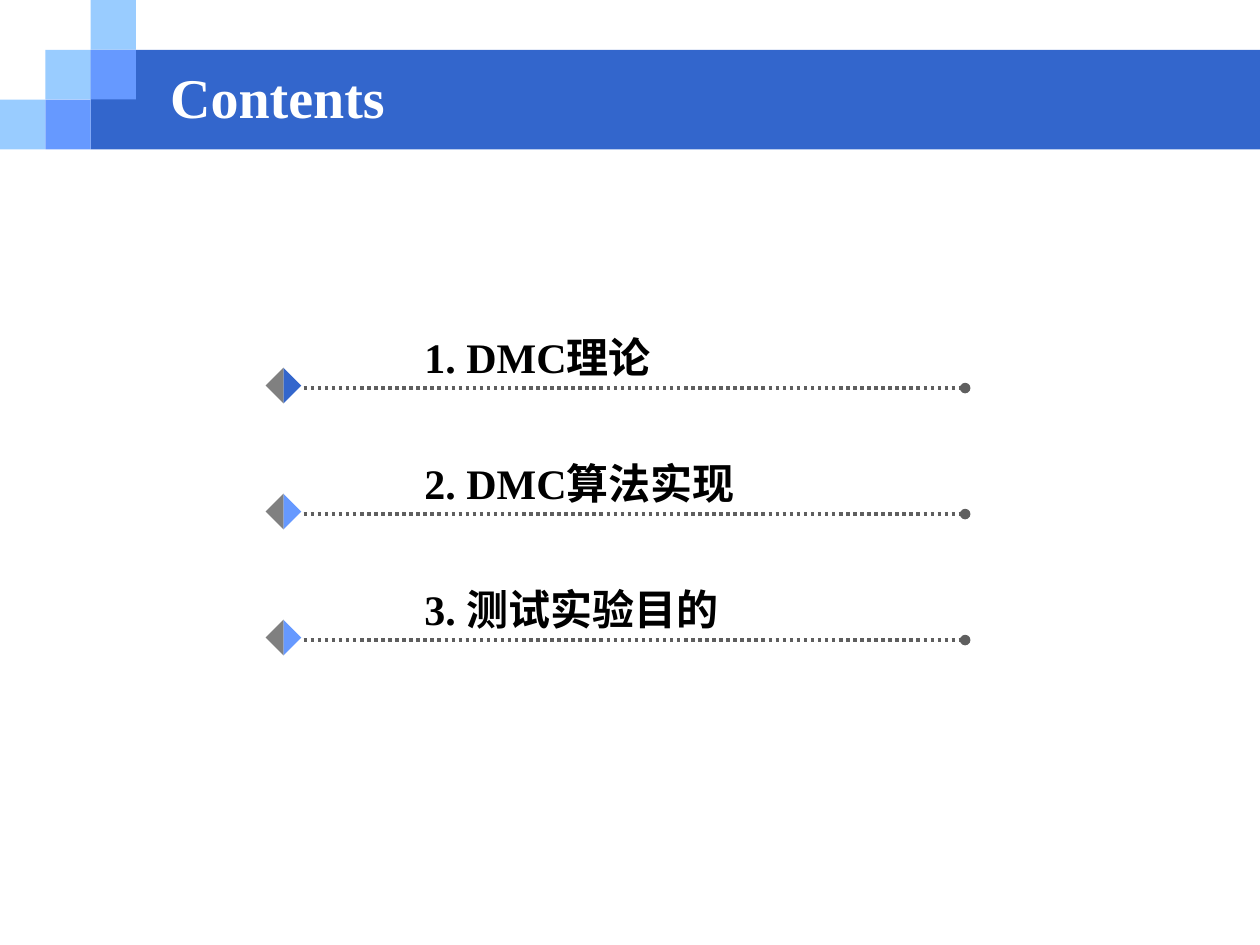
from lxml.etree import SubElement
from pptx import Presentation
from pptx.dml.color import RGBColor
from pptx.enum.dml import MSO_LINE
from pptx.enum.shapes import MSO_CONNECTOR, MSO_SHAPE
from pptx.enum.text import MSO_ANCHOR, PP_ALIGN
from pptx.oxml.ns import qn
from pptx.util import Inches, Pt

BLUE = RGBColor(0x33, 0x66, 0xCC)
MID_BLUE = RGBColor(0x66, 0x99, 0xFF)
LIGHT_BLUE = RGBColor(0x99, 0xCC, 0xFF)
GREY = RGBColor(0x80, 0x80, 0x80)
DARK_GREY = RGBColor(0x5F, 0x5F, 0x5F)
BLACK = RGBColor(0, 0, 0)
WHITE = RGBColor(0xFF, 0xFF, 0xFF)
FONT = "Times New Roman"

presentation = Presentation()
presentation.slide_width, presentation.slide_height = Inches(10), Inches(7.5)
slide = presentation.slides.add_slide(presentation.slide_layouts[5])


def add_block(kind, left, top, width, height, color, rotation=0):
    shape = slide.shapes.add_shape(
        kind, Inches(left), Inches(top), Inches(width), Inches(height))
    shape.shadow.inherit = False
    shape.fill.solid()
    shape.fill.fore_color.rgb = color
    shape.line.fill.background()
    shape.rotation = rotation


def write_line(text_frame, text, size, color):
    text_frame.text = text
    text_frame.word_wrap = True
    paragraph = text_frame.paragraphs[0]
    paragraph.alignment = PP_ALIGN.LEFT
    paragraph.font.name = FONT
    paragraph.font.size = Pt(size)
    paragraph.font.bold = True
    paragraph.font.color.rgb = color


# Header band with a staircase of squares
COLUMN, ROW = 0.36, 0.395
add_block(MSO_SHAPE.RECTANGLE, 2 * COLUMN, ROW, 10 - 2 * COLUMN, 2 * ROW, BLUE)
for column, row, color in [(0, 2, LIGHT_BLUE), (1, 1, LIGHT_BLUE), (2, 0, LIGHT_BLUE),
                           (2, 1, MID_BLUE), (1, 2, MID_BLUE)]:
    add_block(MSO_SHAPE.RECTANGLE, column * COLUMN, row * ROW, COLUMN, ROW, color)

# Title, brought in front of the band
title = slide.shapes.title
title.left, title.top = Inches(1.25), Inches(0.5)
title.width, title.height = Inches(8.08), Inches(0.53)
title.text_frame.vertical_anchor = MSO_ANCHOR.MIDDLE
write_line(title.text_frame, "Contents", 32, WHITE)
title.element.getparent().append(title.element)

# Contents entries: dotted rule, two-tone diamond, heading
FIRST_RULE, STEP, HALF_SIDE = 3.08, 1, 0.2
entries = [("1. DMC理论", 2.2, BLUE),
           ("2. DMC算法实现", 2.9, MID_BLUE),
           ("3. 测试实验目的", 2.75, MID_BLUE)]
for index, (heading, width, color) in enumerate(entries):
    rule_top = FIRST_RULE + index * STEP

    rule = slide.shapes.add_connector(
        MSO_CONNECTOR.STRAIGHT, Inches(2.41), Inches(rule_top),
        Inches(7.66), Inches(rule_top))
    rule.line.color.rgb = DARK_GREY
    rule.line.width = Pt(2)
    rule.line.dash_style = MSO_LINE.ROUND_DOT
    SubElement(rule.line._get_or_add_ln(), qn("a:tailEnd"), type="oval")
    SubElement(rule.element.spPr, qn("a:effectLst"))

    for half_color, rotation in [(GREY, 45), (color, 225)]:
        add_block(MSO_SHAPE.RIGHT_TRIANGLE, 2.15, rule_top - 0.12,
                  HALF_SIDE, HALF_SIDE, half_color, rotation)

    box = slide.shapes.add_textbox(
        Inches(3.27), Inches(rule_top - 0.5), Inches(width), Inches(0.5))
    write_line(box.text_frame, heading, 24, BLACK)

presentation.save("out.pptx")
